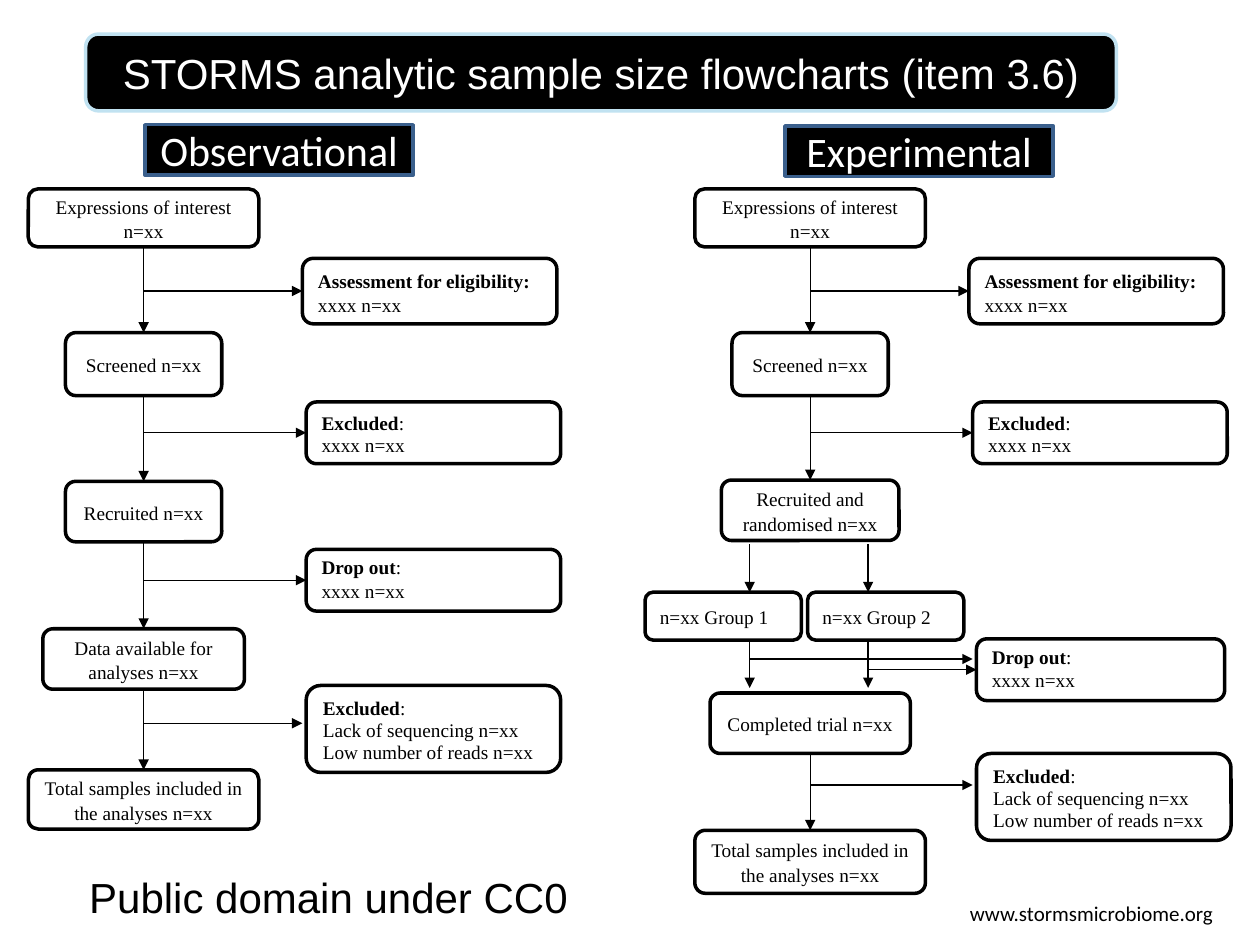
from dataclasses import dataclass
from itertools import pairwise

from lxml import etree
from pptx import Presentation
from pptx.dml.color import RGBColor
from pptx.enum import shapes, text
from pptx.oxml import ns
from pptx.util import Inches, Pt

BLACK, WHITE = "000000", "FFFFFF"
TOP, LEFT, BOTTOM = 0, 1, 2
BOX = shapes.MSO_SHAPE.FLOWCHART_ALTERNATE_PROCESS
SIDE_GAP = 0.03


@dataclass
class Step:
    """A stage of the flow, centred on its column's axis."""
    label: str
    top: float
    width: float
    height: float


@dataclass
class Spacing:
    """Line spacing of heading and details, and points before each detail."""
    heading: float | None = None
    detail: float | None = None
    before: float = 0


@dataclass
class Loss:
    """A side box listing the samples that leave the flow."""
    left: float
    top: float
    width: float
    height: float
    heading: str
    spacing: Spacing
    colon: str = ":"
    details: tuple[str, ...] = ("xxxx n=xx",)
    arrow_y: float | None = None  # None joins the arrow to the side's middle


LOOSE, TIGHT = Spacing(1.07, 0.5, 6), Spacing(0.5, 0.5, 6)
READS = ("Lack of sequencing n=xx", "Low number of reads n=xx")
TOTAL = "Total samples included in the analyses n=xx"
COLUMN_SHIFT = 5.29
OBSERVATIONAL_X = 1.14
EXPERIMENTAL_X = OBSERVATIONAL_X + COLUMN_SHIFT

SHARED_STEPS = [
    Step("Expressions of interest n=xx", 1.5, 1.83, 0.46),
    Step("Screened n=xx", 2.64, 1.24, 0.5),
]
OBSERVATIONAL_STEPS = SHARED_STEPS + [
    Step("Recruited n=xx", 3.82, 1.24, 0.48),
    Step("Data available for analyses n=xx", 4.99, 1.6, 0.48),
    Step(TOTAL, 6.11, 1.83, 0.47),
]
RANDOMISED_STEPS = SHARED_STEPS + [
    Step("Recruited and randomised n=xx", 3.81, 1.41, 0.48)]
COMPLETED_STEPS = [
    Step("Completed trial n=xx", 5.5, 1.59, 0.48),
    Step(TOTAL, 6.59, 1.83, 0.5),
]


def shared_losses(shift: float) -> list[Loss]:
    return [
        Loss(2.4 + shift, 2.05, 2.02, 0.52, "Assessment for eligibility:", LOOSE, ""),
        Loss(2.43 + shift, 3.19, 2.02, 0.49, "Excluded", TIGHT),
    ]


OBSERVATIONAL_LOSSES = shared_losses(0) + [
    Loss(2.43, 4.36, 2.02, 0.49, "Drop out", Spacing()),
    Loss(2.43, 5.44, 2.02, 0.69, "Excluded", TIGHT, details=READS, arrow_y=5.74),
]
EXPERIMENTAL_LOSSES = shared_losses(COLUMN_SHIFT) + [
    Loss(7.75, 5.98, 2.02, 0.69, "Excluded", TIGHT, details=READS, arrow_y=6.23)]
TRIAL_DROP_OUT = Loss(7.75, 5.07, 1.97, 0.49, "Drop out", Spacing())

GROUPS = [("n=xx Group 1", 5.12, 5.95), ("n=xx Group 2", 6.41, 6.89)]
BANNERS = [("Observational", 1.15, 0.99), ("Experimental", 6.23, 1)]
FOOTERS = [
    ("www.stormsmicrobiome.org", (7.6, 7.1, 2.16, 0.3), "Calibri", 12),
    ("Public domain under CC0", (0.61, 6.87, 4.04, 0.5), "Arial", 24),
]


def rgb(value: str) -> RGBColor:
    return RGBColor.from_string(value)


def write(paragraph, words: str, font="Times New Roman", size=11,
          color=BLACK, bold=False) -> None:
    run = paragraph.add_run()
    run.text = words
    values = {"name": font, "size": Pt(size), "bold": bold}
    for key, value in values.items():
        setattr(run.font, key, value)
    run.font.color.rgb = rgb(color)


def add_box(slide, kind, place, fill=WHITE, line=BLACK,
            anchor=text.MSO_ANCHOR.MIDDLE):
    box = slide.shapes.add_shape(kind, *map(Inches, place))
    box.shadow.inherit = False
    box.fill.solid()
    box.fill.fore_color.rgb = rgb(fill)
    box.line.color.rgb = rgb(line)
    box.line.width = Pt(2)
    box.text_frame.word_wrap = True
    box.text_frame.vertical_anchor = anchor
    return box


def add_label_box(slide, place, label: str, align=text.PP_ALIGN.CENTER):
    box = add_box(slide, BOX, place)
    paragraph = box.text_frame.paragraphs[0]
    paragraph.alignment = align
    paragraph.line_spacing = 1.07
    write(paragraph, label)
    return box


def add_banner(slide, kind, place, label: str, line: str, font: str) -> None:
    banner = add_box(slide, kind, place, BLACK, line)
    paragraph = banner.text_frame.paragraphs[0]
    paragraph.alignment = text.PP_ALIGN.CENTER
    write(paragraph, label, font, 24, WHITE)


def add_arrow(slide, x1: float, y1: float, x2: float, y2: float):
    arrow = slide.shapes.add_connector(
        shapes.MSO_CONNECTOR.STRAIGHT, *map(Inches, (x1, y1, x2, y2)))
    arrow.line.color.rgb = rgb(BLACK)
    arrow.line.width = Pt(0.75)
    etree.SubElement(arrow.line._get_or_add_ln(), ns.qn("a:tailEnd"), type="triangle")
    etree.SubElement(arrow._element.spPr, ns.qn("a:effectLst"))
    return arrow


def add_steps(slide, axis: float, steps: list[Step]) -> None:
    """Draw the stages and join each one to the next."""
    boxes = [add_label_box(slide, (axis - s.width / 2, s.top, s.width, s.height), s.label)
             for s in steps]
    for (upper, lower), (start, end) in zip(pairwise(steps), pairwise(boxes)):
        arrow = add_arrow(slide, axis, upper.top + upper.height, axis, lower.top)
        arrow.begin_connect(start, BOTTOM)
        arrow.end_connect(end, TOP)


def add_loss(slide, axis: float, loss: Loss) -> None:
    """Draw a side box and the arrow that reaches it from the axis."""
    box = add_box(slide, BOX, (loss.left, loss.top, loss.width, loss.height),
                  anchor=text.MSO_ANCHOR.BOTTOM)
    heading = box.text_frame.paragraphs[0]
    heading.alignment = text.PP_ALIGN.LEFT
    heading.line_spacing = loss.spacing.heading
    write(heading, loss.heading, bold=True)
    if loss.colon:
        write(heading, loss.colon)
    for detail in loss.details:
        paragraph = box.text_frame.add_paragraph()
        paragraph.alignment = text.PP_ALIGN.LEFT
        paragraph.line_spacing = loss.spacing.detail
        paragraph.space_before = Pt(loss.spacing.before)
        write(paragraph, detail)
    if loss.arrow_y is None:
        middle = loss.top + loss.height / 2
        add_arrow(slide, axis, middle, loss.left, middle).end_connect(box, LEFT)
    else:
        add_arrow(slide, axis, loss.arrow_y, loss.left - SIDE_GAP, loss.arrow_y)


def add_groups(slide) -> None:
    """Draw the trial arms, the arrows through them and their drop-outs."""
    for label, left, axis in GROUPS:
        add_label_box(slide, (left, 4.7, 1.24, 0.38), label, text.PP_ALIGN.LEFT)
        add_arrow(slide, axis, 4.32, axis, 4.7)
        add_arrow(slide, axis, 5.08, axis, 5.46)
    first_axis, second_axis = (axis for *_, axis in GROUPS)
    add_loss(slide, second_axis, TRIAL_DROP_OUT)
    add_arrow(slide, first_axis, 5.23, TRIAL_DROP_OUT.left - SIDE_GAP, 5.23)


def main() -> None:
    deck = Presentation()
    deck.slide_width, deck.slide_height = Inches(10), Inches(7.5)
    slide = deck.slides.add_slide(deck.slide_layouts[6])
    add_banner(slide, shapes.MSO_SHAPE.ROUNDED_RECTANGLE, (0.68, 0.27, 8.18, 0.61),
               "STORMS analytic sample size flowcharts (item 3.6)", "C1E2F1", "Arial")
    for label, left, top in BANNERS:
        add_banner(slide, shapes.MSO_SHAPE.RECTANGLE, (left, top, 2.13, 0.4),
                   label, "3A5F8C", "Calibri")
    add_steps(slide, OBSERVATIONAL_X, OBSERVATIONAL_STEPS)
    for steps in (RANDOMISED_STEPS, COMPLETED_STEPS):
        add_steps(slide, EXPERIMENTAL_X, steps)
    for axis, losses in ((OBSERVATIONAL_X, OBSERVATIONAL_LOSSES),
                         (EXPERIMENTAL_X, EXPERIMENTAL_LOSSES)):
        for loss in losses:
            add_loss(slide, axis, loss)
    add_groups(slide)
    for words, place, font, size in FOOTERS:
        frame = slide.shapes.add_textbox(*map(Inches, place)).text_frame
        frame.word_wrap = False
        frame.auto_size = text.MSO_AUTO_SIZE.SHAPE_TO_FIT_TEXT
        write(frame.paragraphs[0], words, font, size)
    deck.save("out.pptx")


if __name__ == "__main__":
    main()
